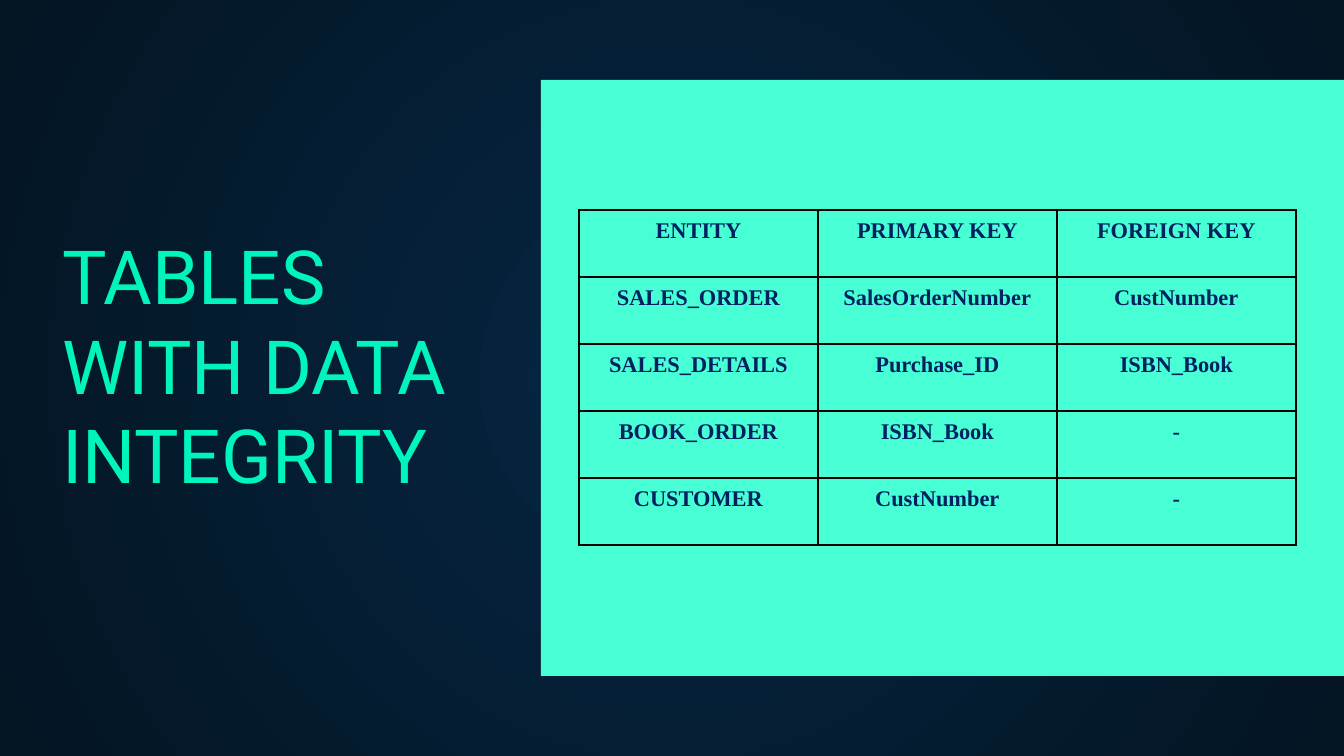
from pptx import Presentation
from pptx.dml.color import RGBColor
from pptx.enum.shapes import MSO_SHAPE
from pptx.enum.text import MSO_ANCHOR, MSO_AUTO_SIZE, PP_ALIGN
from pptx.oxml import parse_xml
from pptx.oxml.ns import nsdecls, qn
from pptx.util import Emu, Pt

SCALE = 914400 / 134.4
GLOW = RGBColor(0x05, 0x26, 0x43)
NIGHT = RGBColor(0x04, 0x15, 0x23)
AQUA = RGBColor(0x48, 0xFF, 0xD5)
MINT = RGBColor(0x00, 0xF5, 0xBD)
NAVY = RGBColor(0x00, 0x20, 0x60)
BLACK = RGBColor(0x00, 0x00, 0x00)

TITLE_FONT = {"name": "Roboto", "size": Pt(40), "bold": False}
CELL_FONT = {"name": "Times New Roman", "size": Pt(12), "bold": True}
COLUMN_WIDTH, ROW_HEIGHT = 239, 67
KEYS = [
    ("ENTITY", "PRIMARY KEY", "FOREIGN KEY"),
    ("SALES_ORDER", "SalesOrderNumber", "CustNumber"),
    ("SALES_DETAILS", "Purchase_ID", "ISBN_Book"),
    ("BOOK_ORDER", "ISBN_Book", "-"),
    ("CUSTOMER", "CustNumber", "-"),
]


def px(length):
    """Turn a length in px into EMU."""
    return Emu(round(length * SCALE))


def apply(target, values):
    """Set each named attribute on the target."""
    for name, value in values.items():
        setattr(target, name, value)


def insets(length):
    """Return equal margins for all four sides."""
    return {f"margin_{side}": px(length) for side in ("left", "top", "right", "bottom")}


def paint_background(slide):
    """Fill the background with a glow spreading from the centre."""
    fill = slide.background.fill
    fill.gradient()
    for stop, color in zip(fill.gradient_stops, (GLOW, NIGHT)):
        stop.color.rgb = color
    gradient = slide.element.find(".//" + qn("a:gradFill"))
    gradient.replace(gradient.find(qn("a:lin")), parse_xml(
        f'<a:path {nsdecls("a")} path="circle">'
        '<a:fillToRect l="50000" t="50000" r="50000" b="50000"/></a:path>'))


def add_panel(slide, left, top, width, height):
    """Draw the plain panel behind the table."""
    panel = slide.shapes.add_shape(
        MSO_SHAPE.RECTANGLE, px(left), px(top), px(width), px(height))
    panel.shadow.inherit = False
    panel.fill.solid()
    panel.fill.fore_color.rgb = AQUA
    panel.line.fill.background()


def set_title(slide, lines, left, top, width, height):
    """Place the title and write its lines."""
    title = slide.shapes.title
    apply(title, {"left": px(left), "top": px(top),
                  "width": px(width), "height": px(height)})
    frame = title.text_frame
    apply(frame, {"word_wrap": True, "auto_size": MSO_AUTO_SIZE.NONE,
                  "vertical_anchor": MSO_ANCHOR.BOTTOM, **insets(13)})
    paragraph = frame.paragraphs[0]
    paragraph.alignment = PP_ALIGN.LEFT
    for index, line in enumerate(lines):
        if index:
            paragraph.add_line_break()
        run = paragraph.add_run()
        run.text = line
        apply(run.font, TITLE_FONT)
        run.font.color.rgb = MINT


def add_borders(cell):
    """Draw a thin black line on each side of a cell."""
    properties = cell._tc.get_or_add_tcPr()
    for side in "LRTB":
        properties.append(parse_xml(
            f'<a:ln{side} {nsdecls("a")} w="{Pt(1)}"><a:solidFill>'
            f'<a:srgbClr val="{BLACK}"/></a:solidFill></a:ln{side}>'))


def format_cell(cell, text):
    """Write and format one cell."""
    add_borders(cell)
    cell.fill.background()
    apply(cell, {"text": text, "vertical_anchor": MSO_ANCHOR.TOP, **insets(9)})
    paragraph = cell.text_frame.paragraphs[0]
    paragraph.alignment = PP_ALIGN.CENTER
    font = paragraph.runs[0].font
    apply(font, CELL_FONT)
    font.color.rgb = NAVY


def add_key_table(slide, left, top):
    """Add the table of entities and their keys."""
    rows, columns = len(KEYS), len(KEYS[0])
    table = slide.shapes.add_table(
        rows, columns, px(left), px(top),
        px(columns * COLUMN_WIDTH), px(rows * ROW_HEIGHT)).table
    apply(table, {"first_row": False, "horz_banding": False})
    for row, texts in zip(table.rows, KEYS):
        for cell, text in zip(row.cells, texts):
            format_cell(cell, text)


def main():
    """Build and save the slide."""
    deck = Presentation()
    apply(deck, {"slide_width": px(1344), "slide_height": px(756)})
    slide = deck.slides.add_slide(deck.slide_layouts[5])
    paint_background(slide)
    add_panel(slide, 541, 80, 853, 596)
    set_title(slide, ("TABLES", "WITH DATA INTEGRITY"), 49, 245, 465, 267)
    add_key_table(slide, 579, 210)
    deck.save("out.pptx")


if __name__ == "__main__":
    main()
